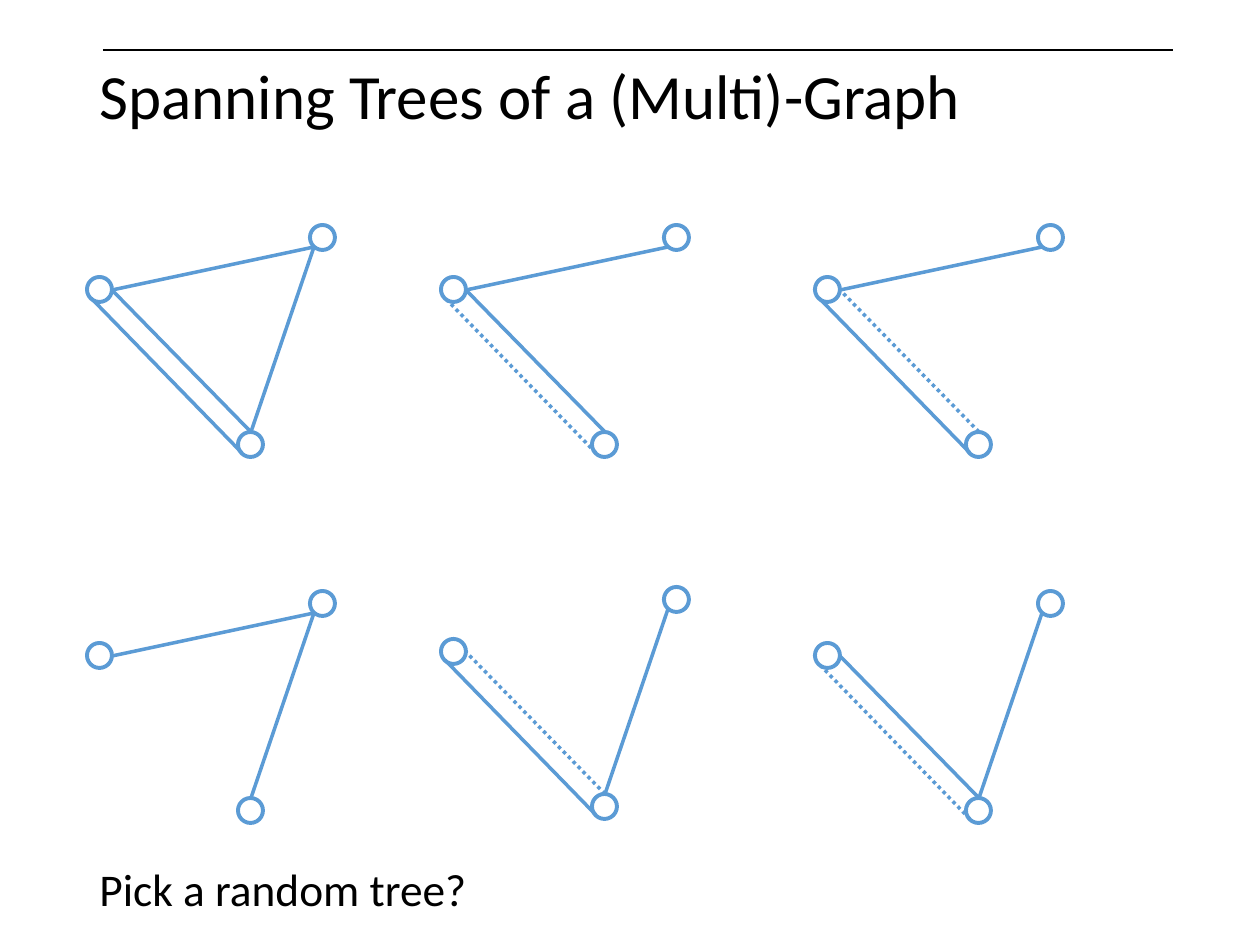
from lxml import etree
from pptx import Presentation
from pptx import util as u
from pptx.dml.color import RGBColor
from pptx.enum import dml, shapes, text
from pptx.oxml.ns import qn

EMU_PER_PX = 914400 / 126
COLORS = {"ink": "000000", "edge": "5B9BD5", "node": "FFFFFF"}
FONT = "Calibri"
NODE_SIZE = 25

# Geometry of one graph, measured from the corner of its left node
NODES = [(223, -52), (0, 0), (151, 155)]
EDGES = {
    "upper": ((227, -30), (25, 13)),
    "right": ((227, -30), (164, 155)),
    "inner": ((164, 155), (25, 13)),
    "outer": ((155, 176), (4, 21)),
}

# Left, top, solid edges, dotted edges
GRAPHS = [
    (87, 277, ["upper", "right", "inner", "outer"], []),
    (441, 277, ["upper", "inner"], ["outer"]),
    (815, 277, ["upper", "outer"], ["inner"]),
    (441, 639, ["right", "outer"], ["inner"]),
    (815, 643, ["right", "inner"], ["outer"]),
    (87, 643, ["upper", "right"], []),
]


def px(value):
    return u.Emu(round(value * EMU_PER_PX))


def color(name):
    return RGBColor.from_string(COLORS[name])


class SlideBuilder:
    def __init__(self, presentation):
        self.slide = presentation.slides.add_slide(presentation.slide_layouts[6])

    def textbox(self, words, box, size, line_spacing=1.0):
        shape = self.slide.shapes.add_textbox(*map(px, box))
        frame = shape.text_frame
        frame.word_wrap = True
        frame.vertical_anchor = text.MSO_ANCHOR.MIDDLE
        paragraph = frame.paragraphs[0]
        paragraph.text = words
        paragraph.line_spacing = line_spacing
        font = paragraph.runs[0].font
        for name, value in {"name": FONT, "size": u.Pt(size)}.items():
            setattr(font, name, value)
        font.color.rgb = color("ink")

    def line(self, start, end, stroke="edge", width=2, dotted=False):
        connector = self.slide.shapes.add_connector(
            shapes.MSO_CONNECTOR.STRAIGHT, *map(px, (*start, *end)))
        connector.line.color.rgb = color(stroke)
        connector.line.width = u.Pt(width)
        if dotted:
            connector.line.dash_style = dml.MSO_LINE.ROUND_DOT
        etree.SubElement(connector._element.spPr, qn("a:effectLst"))

    def node(self, left, top):
        shape = self.slide.shapes.add_shape(
            shapes.MSO_SHAPE.OVAL, *map(px, (left, top, NODE_SIZE, NODE_SIZE)))
        shape.shadow.inherit = False
        shape.fill.solid()
        shape.fill.fore_color.rgb = color("node")
        shape.line.color.rgb = color("edge")
        shape.line.width = u.Pt(2.25)

    def graph(self, left, top, solid, dotted):
        for x, y in NODES:
            self.node(left + x, top + y)
        for name in solid + dotted:
            start, end = [(left + x, top + y) for x, y in EDGES[name]]
            self.line(start, end, dotted=name in dotted)


def main():
    presentation = Presentation()
    presentation.slide_width = px(1260)
    presentation.slide_height = px(945)
    builder = SlideBuilder(presentation)

    # Heading
    builder.line((103, 50), (1173, 50), stroke="ink", width=1)
    builder.textbox("Spanning Trees of a (Multi)-Graph", (87, 8, 1086, 183), 36, 0.9)

    # The multigraph and its spanning trees
    for graph in GRAPHS:
        builder.graph(*graph)

    # Closing question
    builder.textbox("Pick a random tree?", (87, 855, 1086, 67), 25.9)

    presentation.save("out.pptx")


if __name__ == "__main__":
    main()
